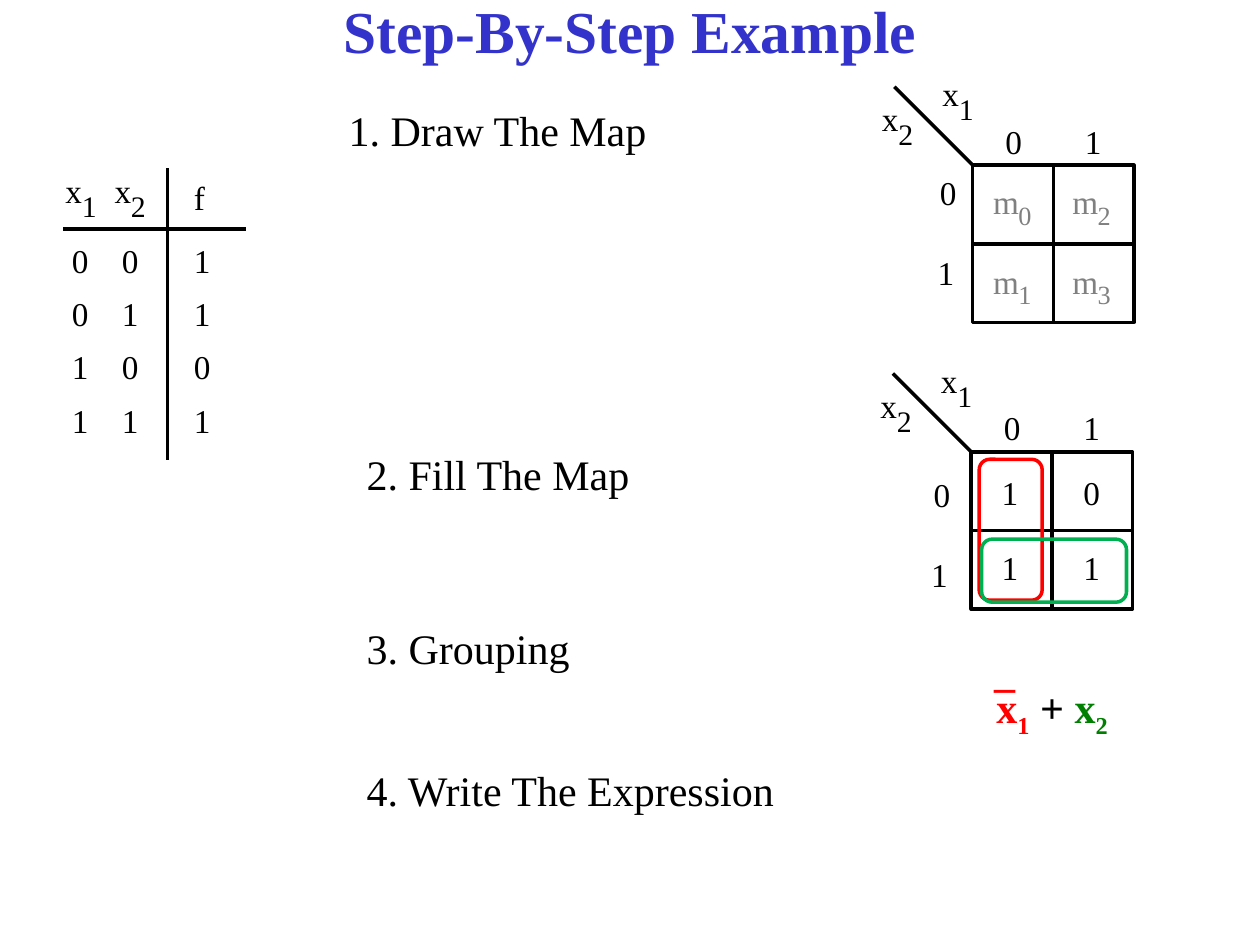
from pptx import Presentation
from pptx.dml.color import RGBColor
from pptx.enum.shapes import MSO_CONNECTOR, MSO_SHAPE
from pptx.enum.text import MSO_ANCHOR, MSO_AUTO_SIZE, PP_ALIGN
from pptx.oxml.ns import qn
from pptx.util import Cm, Pt
from lxml.etree import SubElement

COLORS = {
    "title": "3333CC", "ink": "000000", "paper": "FFFFFF", "minterm": "808080",
    "red": "FF0000", "green": "00B050", "dark_green": "008000",
}
FONT = "Times New Roman"
LINE_WIDTH = Pt(2)
CELL = 1.6


def rgb(name):
    return RGBColor.from_string(COLORS[name])


def add_text(shapes, text, x, y, w, h, size=19, color="ink", bold=False,
             align=PP_ALIGN.LEFT, anchor=MSO_ANCHOR.TOP, wrap=False,
             grow=True, inset=(0, 0)):
    """Add a text box; text is a string or a list of (text, color, baseline)."""
    tf = shapes.add_textbox(Cm(x), Cm(y), Cm(w), Cm(h)).text_frame
    tf.word_wrap = wrap
    tf.auto_size = MSO_AUTO_SIZE.SHAPE_TO_FIT_TEXT if grow else MSO_AUTO_SIZE.NONE
    tf.vertical_anchor = anchor
    tf.margin_left = tf.margin_right = Cm(inset[0])
    tf.margin_top = tf.margin_bottom = Cm(inset[1])
    p = tf.paragraphs[0]
    p.alignment = align
    for part, part_color, baseline in [(text, color, 0)] if isinstance(text, str) else text:
        r = p.add_run()
        r.text = part
        r.font.name, r.font.size, r.font.bold = FONT, Pt(size), bold
        r.font.color.rgb = rgb(part_color)
        if baseline:
            r._r.get_or_add_rPr().set("baseline", str(baseline * 1000))


def add_line(shapes, x1, y1, x2, y2):
    line = shapes.add_connector(MSO_CONNECTOR.STRAIGHT, Cm(x1), Cm(y1), Cm(x2), Cm(y2))
    line.line.color.rgb = rgb("ink")
    line.line.width = LINE_WIDTH
    SubElement(line._element.spPr, qn("a:effectLst"))
    return line


def add_box(shapes, kind, x, y, w, h, color, fill=None):
    sp = shapes.add_shape(kind, Cm(x), Cm(y), Cm(w), Cm(h))
    sp.shadow.inherit = False
    if fill:
        sp.fill.solid()
        sp.fill.fore_color.rgb = rgb(fill)
    else:
        sp.fill.background()
    sp.line.color.rgb = rgb(color)
    sp.line.width = LINE_WIDTH
    return sp


def add_digit(shapes, text, x, y):
    add_text(shapes, text, x, y, 0.5, 0.81)


def add_variable(shapes, index, x, y):
    add_text(shapes, "x", x, y, 0.45, 0.81)
    add_text(shapes, index, x + 0.33, y + 0.36, 0.45, 0.71, size=17)


def add_minterm(shapes, index, x, y):
    add_text(shapes, "m", x, y, 0.76, 0.81, color="minterm")
    add_text(shapes, index, x + 0.51, y + 0.35, 0.45, 0.64, size=15, color="minterm")


def add_truth_table(shapes):
    add_line(shapes, 4.95, 4.62, 1.27, 4.62)
    add_line(shapes, 3.38, 9.27, 3.38, 3.38)
    add_variable(shapes, "1", 1.32, 3.43)
    add_variable(shapes, "2", 2.31, 3.43)
    add_text(shapes, "f", 3.91, 3.58, 0.41, 0.81)
    for row, values in enumerate(("001", "011", "100", "111")):
        for x, value in zip((1.45, 2.46, 3.91), values):
            add_digit(shapes, value, x, 4.85 + row * 1.07)


def add_map(shapes, left, top, label_dx, label_dy):
    """Draw an empty two-variable map with its row and column labels."""
    w, h = 3.25, 3.17
    frame = add_box(shapes, MSO_SHAPE.RECTANGLE, left, top, w, h, "ink", "paper")
    for start, end in ((3, 1), (2, 0)):
        divider = add_line(shapes, left, top, left + w, top + h)
        divider.begin_connect(frame, start)
        divider.end_connect(frame, end)
    add_line(shapes, left - 1.58, top - 1.58, left, top)
    add_variable(shapes, "1", left - 0.61, top - 1.85)
    add_variable(shapes, "2", left - 1.83, top - 1.35)
    for i in range(2):
        add_digit(shapes, str(i), left + 0.66 + i * CELL, top - 0.89)
        add_digit(shapes, str(i), left + label_dx - i * 0.05, top + label_dy + i * CELL)


def main():
    prs = Presentation()
    prs.slide_width, prs.slide_height = Cm(25.4), Cm(19.05)
    s = prs.slides.add_slide(prs.slide_layouts[6])
    shapes = s.shapes

    # Title
    add_text(shapes, "Step-By-Step Example", 0, 0.2, 25.4, 0.81, size=34, color="title",
             bold=True, align=PP_ALIGN.CENTER, anchor=MSO_ANCHOR.MIDDLE,
             wrap=True, grow=False, inset=(0.25, 0.13))

    # Truth table
    add_truth_table(shapes.add_group_shape().shapes)

    # Steps
    for step, x, y, w in (
        ("1. Draw The Map", 6.78, 1.98, 6.58),
        ("2. Fill The Map", 7.14, 8.92, 5.87),
        ("3. Grouping", 7.14, 12.42, 4.65),
        ("4. Write The Expression", 7.14, 15.29, 8.79),
    ):
        add_text(shapes, step, x, y, w, 1.27, size=24, inset=(0.25, 0.13))

    # Map with minterms
    left, top = 19.61, 3.33
    minterm_map = shapes.add_group_shape().shapes
    add_map(minterm_map, left, top, -0.66, 0.15)
    for i in range(4):
        col, row = divmod(i, 2)
        add_minterm(minterm_map, str(i), left + 0.41 + col * CELL, top + 0.33 + row * CELL)

    # Map with function values
    left, top = 19.58, 9.11
    value_map = shapes.add_group_shape().shapes
    add_map(value_map, left, top, -0.76, 0.46)
    for row, values in enumerate(("10", "11")):
        for col, value in enumerate(values):
            add_text(value_map, value, left + 0.61 + col * 1.65, top + 0.41 + row * 1.52,
                     0.38, 0.81)

    # Groupings
    add_box(shapes, MSO_SHAPE.ROUNDED_RECTANGLE, 19.74, 9.26, 1.27, 2.84, "red")
    add_box(shapes, MSO_SHAPE.ROUNDED_RECTANGLE, 19.79, 10.87, 2.92, 1.27, "green")

    # Expression with its negation bar
    expression = shapes.add_group_shape().shapes
    style = dict(size=24, bold=True, wrap=True, inset=(0.25, 0.13))
    terms = [("x", "red", 0), ("1", "red", -25), (" + ", "ink", 0),
             ("x", "dark_green", 0), ("2", "dark_green", -25)]
    add_text(expression, terms, 18.49, 13.61, 5.44, 1.3, align=PP_ALIGN.CENTER, **style)
    add_text(expression, "_", 19.79, 12.88, 0.84, 1.3, color="red", **style)

    prs.save("out.pptx")


if __name__ == "__main__":
    main()
